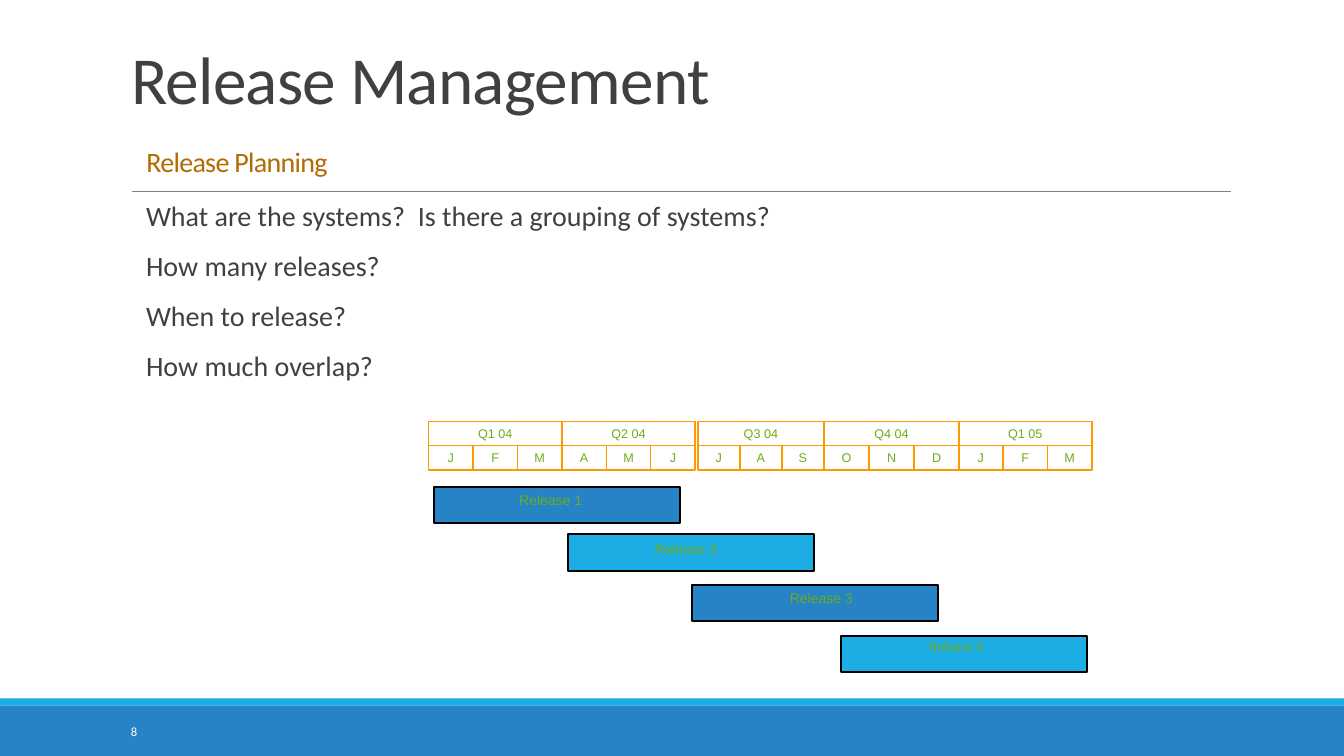
from pptx import Presentation
from pptx.dml.color import RGBColor
from pptx.enum.shapes import MSO_CONNECTOR, MSO_SHAPE
from pptx.enum.text import MSO_ANCHOR, MSO_AUTO_SIZE, PP_ALIGN
from pptx.oxml.ns import qn
from pptx.util import Inches, Pt
from lxml.etree import SubElement

WIDE, HIGH = 13.33, 7.5
BLUE, CYAN, ORANGE, GREEN, GREY = "2683C6", "1CADE4", "FF9900", "6EAC1C", "404040"
QUARTERS = [
    ("Q1 04", "JFM", 0, 20.1),
    ("Q2 04", "AMJ", 20.1, 20.1),
    ("Q3 04", "JAS", 40.6, 19),
    ("Q4 04", "OND", 59.6, 20.4),
    ("Q1 05", "JFM", 79.9, 20.1),
]
RELEASES = [
    (0.8, 26.1, 26.1, BLUE, "Arial"),
    (21, 45, 45.4, CYAN, "Arial"),
    (39.7, 65.1, 65.1, BLUE, "Arial"),
    (62.2, 85.5, 84.3, CYAN, "Calibri"),
]
QUESTIONS = [
    "What are the systems?  Is there a grouping of systems?",
    "How many releases?",
    "When to release?",
    "How much overlap?",
]


def tint(code):
    """Turn a hex string into a colour."""
    return RGBColor.from_string(code)


def part(box, col, row, wide, high):
    """Give the inches of a cell in a 100 by 100 grid over the box."""
    left, top, width, height = box
    return (left + width * col / 100, top + height * row / 100,
            width * wide / 100, height * high / 100)


def style(font, size, code, name="Calibri"):
    """Set the size, colour and face of a font."""
    font.size, font.name = Pt(size), name
    font.color.rgb = tint(code)


def block(slide, box, fill=None, line=None, width=1):
    """Add a rectangle with an optional fill and line."""
    shape = slide.shapes.add_shape(MSO_SHAPE.RECTANGLE, *map(Inches, box))
    shape.shadow.inherit = False
    if fill:
        shape.fill.solid()
        shape.fill.fore_color.rgb = tint(fill)
    else:
        shape.fill.background()
    if line:
        shape.line.color.rgb = tint(line)
        shape.line.width = Pt(width)
    else:
        shape.line.fill.background()
    return shape


def words(slide, box, text, size, code, name="Calibri"):
    """Add a wrapped text box and return its frame."""
    frame = slide.shapes.add_textbox(*map(Inches, box)).text_frame
    frame.word_wrap = True
    frame.text = text
    for para in frame.paragraphs:
        style(para.runs[0].font, size, code, name)
    return frame


def cell(slide, box, text):
    """Add one outlined calendar cell."""
    frame = block(slide, box, line=ORANGE).text_frame
    frame.margin_left = frame.margin_right = Inches(0.09)
    frame.margin_top = frame.margin_bottom = Inches(0.04)
    frame.vertical_anchor = MSO_ANCHOR.MIDDLE
    frame.text = text
    para = frame.paragraphs[0]
    para.alignment = PP_ALIGN.CENTER
    style(para.runs[0].font, 9, GREEN, "Arial")


def footer(slide, box):
    """Draw the bottom band with the slide number."""
    block(slide, part(box, 0, 12, 100, 88), BLUE)
    block(slide, part(box, 0, 0, 100, 12), CYAN)
    frame = words(slide, part(box, 9, 23, 20, 70), "8", 9, "FFFFFF")
    frame.vertical_anchor = MSO_ANCHOR.MIDDLE


def header(slide, box):
    """Fill the title and rule it off below."""
    title = slide.shapes.title
    title.left, title.top, title.width, title.height = map(Inches, box)
    frame = title.text_frame
    frame.word_wrap = True
    frame.auto_size = MSO_AUTO_SIZE.NONE
    frame.vertical_anchor = MSO_ANCHOR.BOTTOM
    para = frame.paragraphs[0]
    para.text = "Release Management\v "
    para.add_run().text = "Release Planning"
    para.alignment = PP_ALIGN.LEFT
    para.line_spacing = 0.85
    for run, size, code in zip(para.runs, (48, 48, 20), (GREY, GREY, "B26B02")):
        style(run.font, size, code)
        run.font._element.set("spc", "-50")
    left, top, wide, high = map(Inches, part(box, 1, 100, 99.1, 0))
    rule = slide.shapes.add_connector(
        MSO_CONNECTOR.STRAIGHT, left, top, left + wide, top)
    rule.line.color.rgb = tint("808080")
    rule.line.width = Pt(0.5)
    SubElement(rule._element.spPr, qn("a:effectLst"))


def body(slide, box):
    """List the planning questions."""
    frame = words(slide, box, "\n".join(QUESTIONS), 20, GREY)
    frame.margin_right = 0
    for index, para in enumerate(frame.paragraphs):
        para.line_spacing = 0.9
        para.space_before = Pt(12 if index else 0)
        para.space_after = Pt(2)


def months(slide, box):
    """Draw the quarters with their months below."""
    for name, letters, col, wide in QUARTERS:
        for index, letter in enumerate(letters):
            spot = part(box, col + index * wide / 3, 9.7, wide / 3, 9.7)
            cell(slide, spot, letter)
        cell(slide, part(box, col, 0, wide, 9.7), name)


def bars(slide, box):
    """Draw the release bars, then their labels."""
    for col, row, _, fill, _ in RELEASES:
        block(slide, part(box, col, row, 37.1, 14.5), fill, "000000", 1.5)
    for index, (_, _, row, _, name) in enumerate(RELEASES):
        spot = part(box, 6.4 + 20.4 * index, row, 24, 10.8)
        frame = words(slide, spot, f"Release {index + 1}", 10, GREEN, name)
        frame.paragraphs[0].alignment = PP_ALIGN.CENTER


def main():
    """Build and save the slide."""
    deck = Presentation()
    deck.slide_width, deck.slide_height = Inches(WIDE), Inches(HIGH)
    slide = deck.slides.add_slide(deck.slide_layouts[5])
    footer(slide, (0, 6.93, WIDE, 0.57))
    header(slide, (1.2, 0.31, 11, 1.59))
    body(slide, (1.35, 1.96, 9.81, 3.1))
    chart = (4.25, 4.18, 6.58, 2.49)
    months(slide, chart)
    bars(slide, chart)
    deck.save("out.pptx")


if __name__ == "__main__":
    main()
